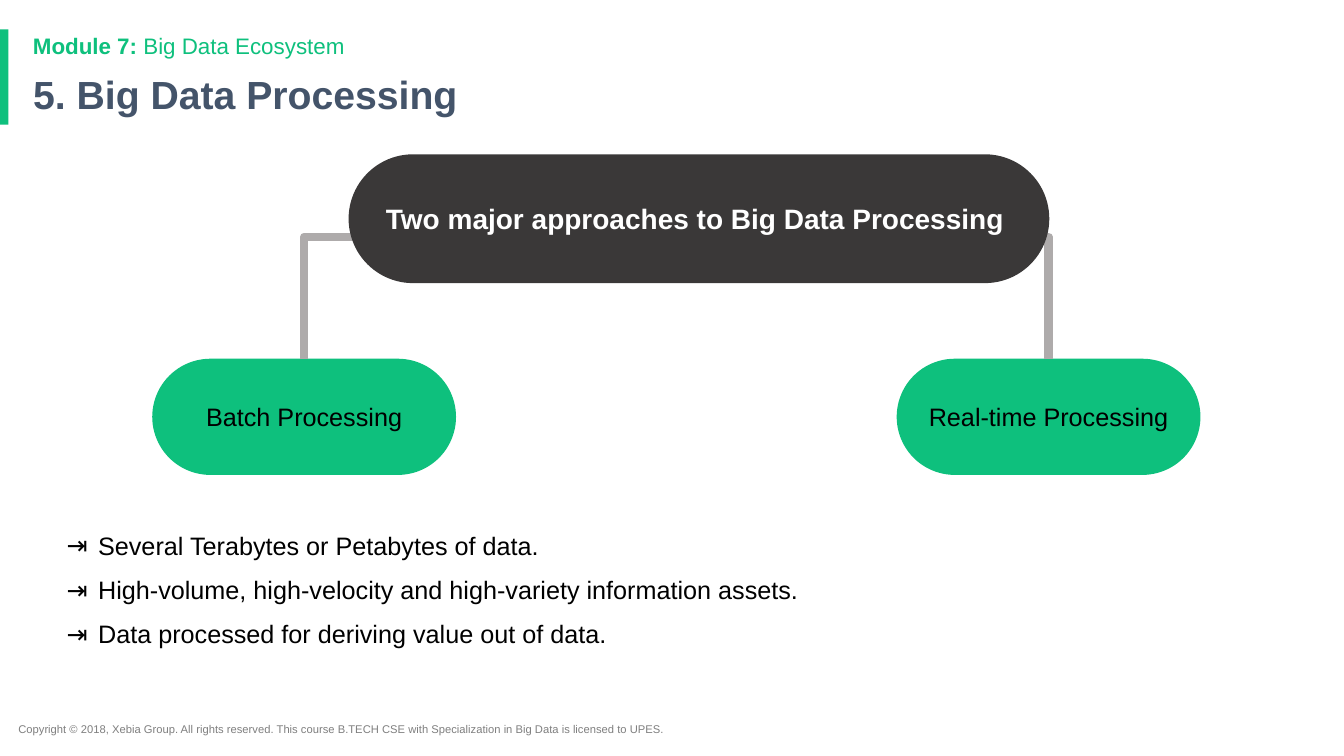
from dataclasses import dataclass

from lxml.etree import SubElement
from pptx import Presentation
from pptx.dml.color import RGBColor
from pptx.enum.shapes import MSO_CONNECTOR, MSO_SHAPE
from pptx.enum.text import MSO_ANCHOR, PP_ALIGN
from pptx.oxml.ns import qn
from pptx.util import Pt


@dataclass(frozen=True)
class Theme:
    font: str = "Arial"
    green: str = "0EC07D"
    slate: str = "44546A"
    charcoal: str = "3A3838"
    silver: str = "AEABAB"
    grey: str = "7F7F7F"
    black: str = "000000"
    white: str = "FFFFFF"
    title_size: int = 28
    root_size: int = 20
    body_size: int = 18
    module_size: int = 16
    footer_size: int = 8


class SlideBuilder:
    def __init__(self, page, theme):
        self.page = page
        self.theme = theme

    def style(self, span, size, color, bold=False):
        span.font.name = self.theme.font
        span.font.size = Pt(size)
        span.font.bold = bold
        span.font.color.rgb = RGBColor.from_string(color)

    def title(self, text, left, top, width, height):
        box = self.page.shapes.title
        box.left, box.top, box.width, box.height = map(Pt, (left, top, width, height))
        frame = box.text_frame
        frame.text = text
        frame.vertical_anchor = MSO_ANCHOR.MIDDLE
        para = frame.paragraphs[0]
        para.alignment = PP_ALIGN.LEFT
        para.line_spacing = 0.9
        self.style(para.runs[0], self.theme.title_size, self.theme.slate, True)

    def text(self, spans, left, top, width, height, size, color):
        box = self.page.shapes.add_textbox(*map(Pt, (left, top, width, height)))
        frame = box.text_frame
        frame.word_wrap = True
        frame.vertical_anchor = MSO_ANCHOR.MIDDLE
        para = frame.paragraphs[0]
        para.line_spacing = 0.9
        for words, bold in spans:
            span = para.add_run()
            span.text = words
            self.style(span, size, color, bold)

    def bullets(self, lines, left, top, width, height):
        box = self.page.shapes.add_textbox(*map(Pt, (left, top, width, height)))
        frame = box.text_frame
        frame.word_wrap = True
        frame.text = "\n".join(lines)
        for index, para in enumerate(frame.paragraphs):
            para.line_spacing = 0.9
            if index:
                para.space_before = Pt(12)
            properties = para._p.get_or_add_pPr()
            properties.set("marL", str(Pt(22.5)))
            properties.set("indent", str(-Pt(22.5)))
            color = SubElement(properties, qn("a:buClr"))
            SubElement(color, qn("a:srgbClr"), val=self.theme.black)
            SubElement(properties, qn("a:buFont"), typeface=self.theme.font)
            SubElement(properties, qn("a:buChar"), char="⇥")
            self.style(para.runs[0], self.theme.body_size, self.theme.black)

    def block(self, kind, left, top, width, height, fill):
        shape = self.page.shapes.add_shape(kind, *map(Pt, (left, top, width, height)))
        shape.shadow.inherit = False
        shape.fill.solid()
        shape.fill.fore_color.rgb = RGBColor.from_string(fill)
        shape.line.fill.background()
        return shape

    def pill(self, text, left, top, width, height, fill, size, color, bold=False):
        shape = self.block(MSO_SHAPE.ROUNDED_RECTANGLE, left, top, width, height, fill)
        shape.adjustments[0] = 0.5
        frame = shape.text_frame
        frame.word_wrap = True
        frame.vertical_anchor = MSO_ANCHOR.MIDDLE
        frame.text = text
        para = frame.paragraphs[0]
        para.alignment = PP_ALIGN.CENTER
        self.style(para.runs[0], size, color, bold)

    def branch(self, child_x, child_y, root_x, root_y, bar_y):
        rise, run = child_y - root_y, abs(root_x - child_x)
        left = (child_x + root_x - rise) / 2
        top = (child_y + root_y - run) / 2
        start, end = (top, top + run) if child_x < root_x else (top + run, top)
        line = self.page.shapes.add_connector(
            MSO_CONNECTOR.ELBOW, Pt(left), Pt(start), Pt(left + rise), Pt(end)
        )
        line.line.width = Pt(6)
        line.line.color.rgb = RGBColor.from_string(self.theme.silver)
        properties = line._element.spPr
        properties.find(qn("a:xfrm")).set("rot", str(270 * 60000))
        guides = properties.find(qn("a:prstGeom")).find(qn("a:avLst"))
        bend = round((child_y - bar_y) / rise * 100000)
        SubElement(guides, qn("a:gd"), name="adj1", fmla=f"val {bend}")
        SubElement(properties.find(qn("a:ln")), qn("a:round"))
        SubElement(properties, qn("a:effectLst"))


def main():
    theme = Theme()
    deck = Presentation()
    deck.slide_width, deck.slide_height = Pt(960), Pt(540)
    slide = SlideBuilder(deck.slides.add_slide(deck.slide_layouts[5]), theme)

    slide.block(MSO_SHAPE.RECTANGLE, 0, 21, 6, 68, theme.green)
    slide.text(
        [("Copyright © 2018, Xebia Group. All rights reserved. This course B.TECH CSE "
          "with Specialization in Big Data is licensed to UPES.", False)],
        6, 513, 513, 17, theme.footer_size, theme.grey,
    )
    slide.title("5. Big Data Processing", 16.5, 49.5, 828, 39)
    slide.text(
        [("Module 7:", True), (" Big Data Ecosystem", False)],
        16.5, 21.5, 828, 24, theme.module_size, theme.green,
    )
    slide.bullets(
        ["Several Terabytes or Petabytes of data.",
         "High-volume, high-velocity and high-variety information assets.",
         "Data processed for deriving value out of data."],
        40.5, 378, 809, 106,
    )

    root_left, root_top, root_width, root_height = 249, 110.25, 500.5, 92
    child_top, child_width, child_height = 256.25, 217, 83
    for name, left in (("Batch Processing", 108.75), ("Real-time Processing", 640.5)):
        slide.pill(name, left, child_top, child_width, child_height,
                   theme.green, theme.body_size, theme.black)
        slide.branch(left + child_width / 2, child_top, root_left + root_width / 2,
                     root_top + root_height, 169.25)
    slide.pill("Two major approaches to Big Data Processing ", root_left, root_top,
               root_width, root_height, theme.charcoal, theme.root_size, theme.white, True)

    deck.save("out.pptx")


if __name__ == "__main__":
    main()
